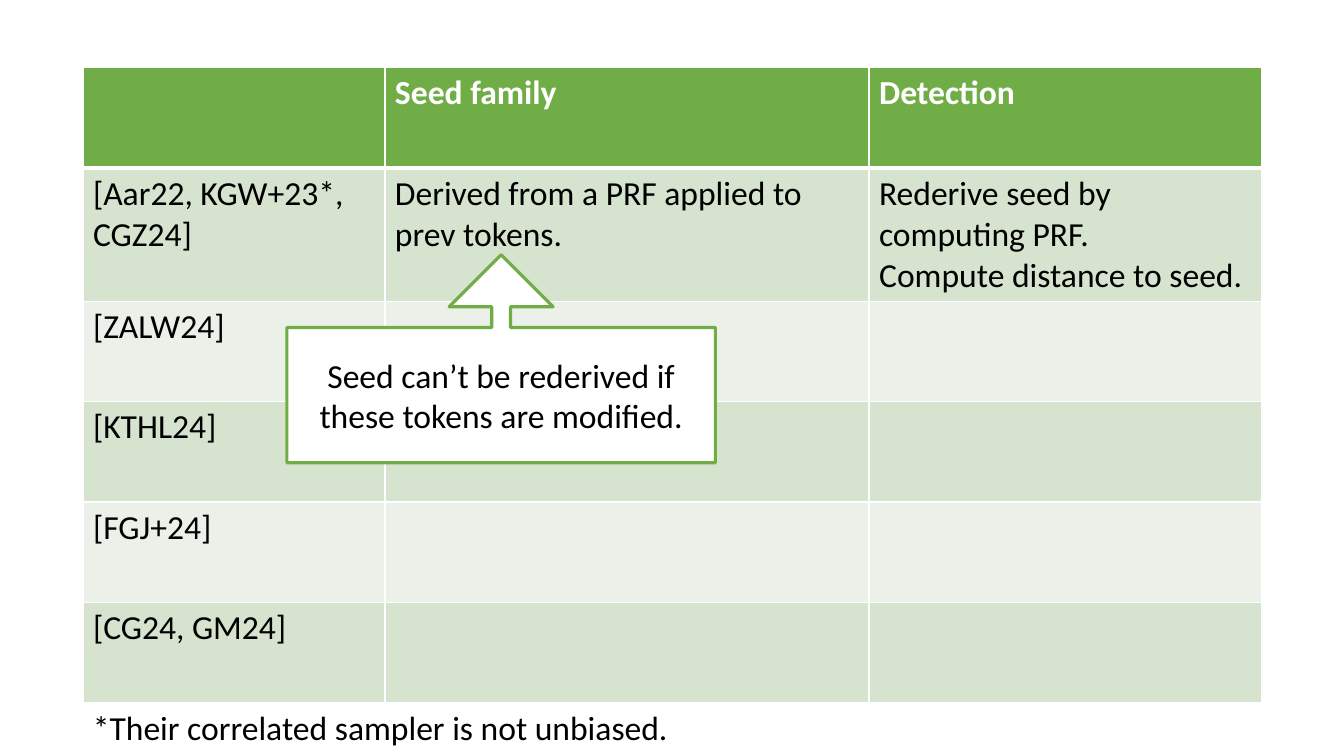
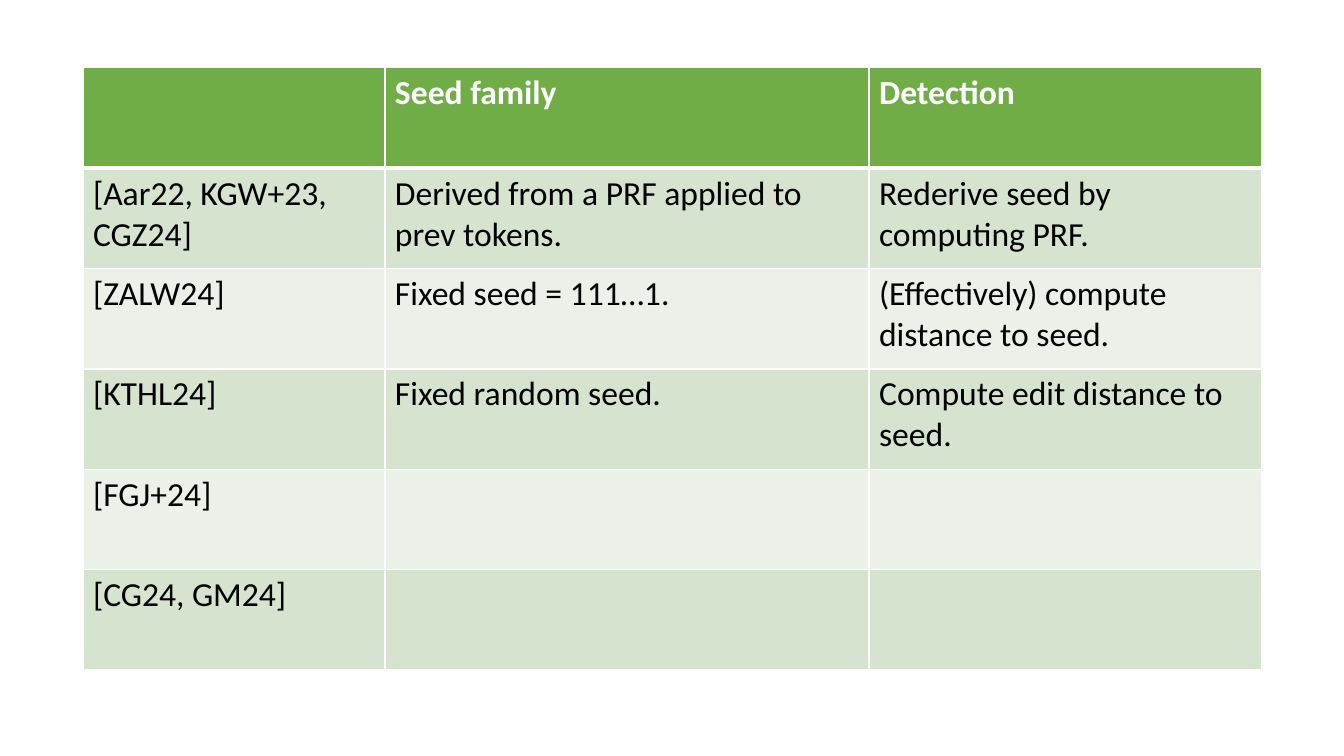
import pptx
import pptx.util
import pptx.dml.color
import pptx.enum.shapes
import pptx.enum.text
import pptx.oxml
import pptx.oxml.ns

Cm = pptx.util.Cm
Pt = pptx.util.Pt
RGBColor = pptx.dml.color.RGBColor
PP_ALIGN = pptx.enum.text.PP_ALIGN

# Content: header and rows of each table
HEADER = ("", "Seed family", "Detection")
PRF_SEED = "Derived from a PRF applied to prev tokens."
PRF_DETECTION = "Rederive seed by computing PRF."

CALLOUT_ROWS = [
    HEADER,
    ("[Aar22, KGW+23*, CGZ24]", PRF_SEED, PRF_DETECTION + "\nCompute distance to seed."),
    ("[ZALW24]", "", ""),
    ("[KTHL24]", "", ""),
    ("[FGJ+24]", "", ""),
    ("[CG24, GM24]", "", ""),
]
FIXED_SEED_ROWS = [
    HEADER,
    ("[Aar22, KGW+23, CGZ24]", PRF_SEED, PRF_DETECTION),
    ("[ZALW24]", "Fixed seed = 111…1.", "(Effectively) compute distance to seed."),
    ("[KTHL24]", "Fixed random seed.", "Compute edit distance to seed."),
    ("[FGJ+24]", "", ""),
    ("[CG24, GM24]", "", ""),
]
CALLOUT = "Seed can’t be rederived if these tokens are modified."
FOOTNOTE = "*Their correlated sampler is not unbiased."

# Shared style
FONT = "Calibri"
GREEN = RGBColor(0x70, 0xAD, 0x47)
BAND_DARK = RGBColor(0xD5, 0xE3, 0xCF)
BAND_LIGHT = RGBColor(0xEB, 0xF1, 0xE9)
WHITE = RGBColor(0xFF, 0xFF, 0xFF)
BLACK = RGBColor(0, 0, 0)

TABLE_LEFT, TABLE_TOP = Cm(2.09), Cm(1.71)
COLUMN_WIDTHS = (Cm(7.61), Cm(12.2), Cm(9.9))
ROW_HEIGHT = Cm(2.53)
TALL_ROW_HEIGHT = Cm(3.34)
THIN, THICK = Pt(1), Pt(3)


def write_text(frame, text, color=BLACK, bold=False, align=PP_ALIGN.LEFT):
    for index, line in enumerate(text.split("\n")):
        para = frame.paragraphs[0] if index == 0 else frame.add_paragraph()
        para.alignment = align
        para.font.size = Pt(24)
        if line:
            span = para.add_run()
            span.text = line
            span.font.name = FONT
            span.font.size = Pt(24)
            span.font.bold = bold
            span.font.color.rgb = color


def set_borders(cell, top, bottom):
    properties = cell._tc.get_or_add_tcPr()
    for side, width in (("L", THIN), ("R", THIN), ("T", top), ("B", bottom)):
        properties.append(pptx.oxml.parse_xml(
            f'<a:ln{side} {pptx.oxml.ns.nsdecls("a")} w="{width}">'
            f'<a:solidFill><a:srgbClr val="{WHITE}"/></a:solidFill></a:ln{side}>'))


def add_seed_table(page, rows):
    heights = [TALL_ROW_HEIGHT if any("\n" in text for text in row) else ROW_HEIGHT
               for row in rows]
    table = page.shapes.add_table(
        len(rows), len(HEADER), TABLE_LEFT, TABLE_TOP,
        sum(COLUMN_WIDTHS), sum(heights)).table
    for column, width in zip(table.columns, COLUMN_WIDTHS):
        column.width = width
    for r, row in enumerate(rows):
        table.rows[r].height = heights[r]
        is_header = r == 0
        fill = GREEN if is_header else (BAND_LIGHT, BAND_DARK)[r % 2]
        for c, text in enumerate(row):
            cell = table.cell(r, c)
            # The heavy rule lies between the header and the first row
            set_borders(cell, top=THICK if r == 1 else THIN,
                        bottom=THICK if is_header else THIN)
            cell.fill.solid()
            cell.fill.fore_color.rgb = fill
            write_text(cell.text_frame, text, bold=is_header,
                       color=WHITE if is_header else BLACK)
    return TABLE_TOP + sum(heights)


def add_footnote(page, top):
    box = page.shapes.add_textbox(TABLE_LEFT, top, Cm(15.14), Cm(1.27))
    box.text_frame.word_wrap = False
    box.text_frame.auto_size = pptx.enum.text.MSO_AUTO_SIZE.SHAPE_TO_FIT_TEXT
    write_text(box.text_frame, FOOTNOTE)


def add_callout(page):
    box = page.shapes.add_shape(
        pptx.enum.shapes.MSO_SHAPE.UP_ARROW_CALLOUT,
        Cm(7.23), Cm(6.42), Cm(10.8), Cm(5.24))
    for index, value in enumerate((0.09, 0.25, 0.25, 0.65)):
        box.adjustments[index] = value
    box.shadow.inherit = False
    box.fill.solid()
    box.fill.fore_color.rgb = WHITE
    box.line.color.rgb = GREEN
    box.line.width = Pt(2.25)
    box.text_frame.word_wrap = True
    box.text_frame.vertical_anchor = pptx.enum.text.MSO_ANCHOR.MIDDLE
    write_text(box.text_frame, CALLOUT, align=PP_ALIGN.CENTER)


def main():
    deck = pptx.Presentation()
    deck.slide_width, deck.slide_height = Cm(33.87), Cm(19.05)
    blank = deck.slide_layouts[6]

    # Slide 1: PRF seeds, with the callout and footnote
    page = deck.slides.add_slide(blank)
    table_bottom = add_seed_table(page, CALLOUT_ROWS)
    add_footnote(page, table_bottom)
    add_callout(page)

    # Slide 2: fixed seeds
    add_seed_table(deck.slides.add_slide(blank), FIXED_SEED_ROWS)

    deck.save("out.pptx")


if __name__ == "__main__":
    main()
